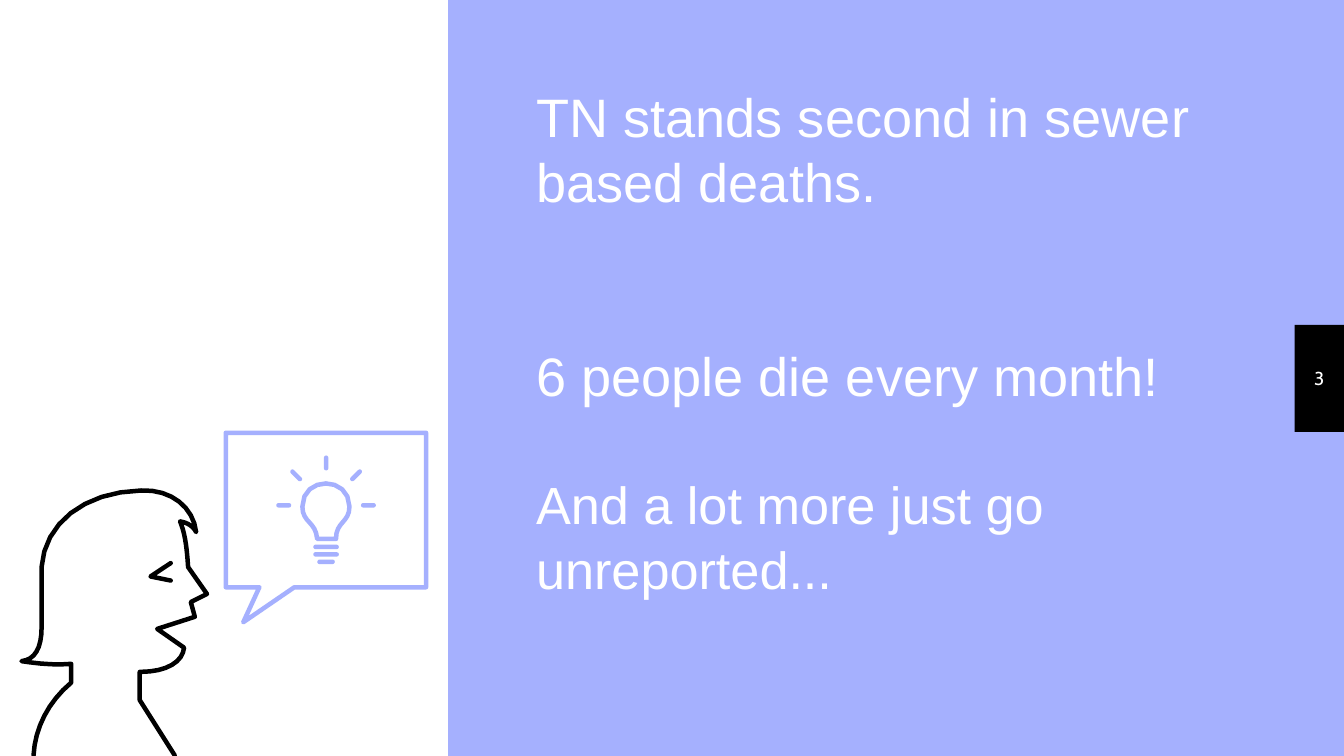
from dataclasses import dataclass
from math import cos, radians, sin

from lxml.etree import SubElement
from pptx import Presentation
from pptx.dml.color import RGBColor
from pptx.enum.shapes import MSO_SHAPE as Shape
from pptx.enum.text import MSO_ANCHOR as Anchor, MSO_AUTO_SIZE as AutoSize, PP_ALIGN as Align
from pptx.oxml.ns import qn
from pptx.shapes.base import BaseShape
from pptx.slide import Slide
from pptx.util import Pt

LAVENDER = RGBColor(0xA5, 0xB0, 0xFE)
WHITE = RGBColor(0xFF, 0xFF, 0xFF)
BLACK = RGBColor(0x00, 0x00, 0x00)

UNIT = 0.72  # points per drawing-grid step
FINE = 100  # freeform steps per point
CURVE_STEPS = 8
STROKE = 2.4  # points


@dataclass
class Statement:
    text: str
    top: float
    size: float


@dataclass
class Outline:
    """Corners (x, y) and Bezier curves (x1, y1, x2, y2, x, y) in grid steps."""
    segments: list[tuple[float, ...]]
    color: RGBColor
    closed: bool = False


STATEMENTS = [
    Statement("TN stands second in sewer based deaths.", 51.1, 29),
    Statement("6 people die every month!", 154.8, 29),
    Statement("And a lot more just go unreported...", 257.8, 28),
]

EYE = Outline([(127, 419), (112, 429), (127, 432)], BLACK)
HEAD = Outline([
    # Neck, mouth and nose
    (130, 562), (104, 521), (104, 500), (125, 500, 136, 492, 137, 482),
    (117, 468), (145, 459), (142, 448), (154, 442), (140, 422),
    # Fringe and hair
    (139, 405, 137, 395, 134, 388), (140, 389, 144, 392, 146, 396),
    (144, 378, 128, 364, 105, 365), (62, 366, 33, 390, 31, 422),
    # Nape and back
    (31, 467), (31, 482, 26, 491, 16, 492), (29, 494, 42, 495, 53, 494),
    (53, 508), (36, 522, 26, 542, 25, 562),
], BLACK)
SPEECH_BUBBLE = Outline([
    (168, 322), (317, 322), (317, 437), (219, 437), (181, 463), (193, 437), (168, 437),
], LAVENDER, closed=True)
BULB = Outline([
    (236, 401), (235, 388, 225, 389, 225, 377), (225, 354, 260, 354, 260, 377),
    (260, 389, 250, 388, 250, 401),
], LAVENDER, closed=True)

# Bulb details, in points
BULB_X, BULB_Y = 174.7, 270.7
RAY_RADIUS, RAY_LENGTH = 22.7, 8
BASE_TOP, BASE_STEP = 293, 4
BASE_LENGTHS = (13.7, 13.7, 9.4)


def add_block(slide: Slide, left: float, top: float, width: float, height: float,
              color: RGBColor, kind: Shape = Shape.RECTANGLE) -> BaseShape:
    shape = slide.shapes.add_shape(kind, Pt(left), Pt(top), Pt(width), Pt(height))
    shape.shadow.inherit = False
    shape.fill.solid()
    shape.fill.fore_color.rgb = color
    shape.line.fill.background()
    return shape


def add_bar(slide: Slide, x: float, y: float, length: float, angle: float = 0) -> None:
    """Add a round-ended bar around its centre."""
    shape = add_block(slide, x - length / 2, y - STROKE / 2, length, STROKE,
                      LAVENDER, Shape.ROUNDED_RECTANGLE)
    shape.adjustments[0] = 0.5
    shape.rotation = angle


def flatten(segments: list[tuple[float, ...]]) -> list[tuple[float, float]]:
    """Turn corners and curves into points on the fine freeform grid."""
    points = [segments[0]]
    for segment in segments[1:]:
        if len(segment) == 2:
            points.append(segment)
            continue
        start, first, second, end = points[-1], segment[:2], segment[2:4], segment[4:]
        for step in range(1, CURVE_STEPS + 1):
            t = step / CURVE_STEPS
            u = 1 - t
            points.append(tuple(
                u**3 * a + 3 * u * u * t * b + 3 * u * t * t * c + t**3 * d
                for a, b, c, d in zip(start, first, second, end)))
    return [(x * UNIT * FINE, y * UNIT * FINE) for x, y in points]


def add_outline(slide: Slide, outline: Outline) -> None:
    points = flatten(outline.segments)
    builder = slide.shapes.build_freeform(*points[0], scale=Pt(1) / FINE)
    builder.add_line_segments(points[1:], close=outline.closed)
    shape = builder.convert_to_shape()
    shape.shadow.inherit = False
    shape.fill.background()
    shape.line.color.rgb = outline.color
    shape.line.width = Pt(STROKE)
    # Round ends and corners
    line = shape.line._get_or_add_ln()
    line.set("cap", "rnd")
    SubElement(line, qn("a:round"))


def set_text(shape: BaseShape, text: str, font: str, size: float,
             align: Align, anchor: Anchor) -> None:
    frame = shape.text_frame
    frame.word_wrap = True
    frame.auto_size = AutoSize.NONE
    frame.vertical_anchor = anchor
    frame.margin_left = frame.margin_right = Pt(7.2)
    frame.margin_top = frame.margin_bottom = Pt(7.2)
    paragraph = frame.paragraphs[0]
    paragraph.text = text
    paragraph.alignment = align
    paragraph.font.name = font
    paragraph.font.size = Pt(size)
    paragraph.font.color.rgb = WHITE


def add_statement(statement: Statement, shape: BaseShape) -> None:
    shape.left, shape.top = Pt(280.1), Pt(statement.top)
    shape.width, shape.height = Pt(385.9), Pt(70.6)
    set_text(shape, statement.text, "Arial", statement.size, Align.LEFT, Anchor.BOTTOM)
    shape.text_frame.paragraphs[0].line_spacing = Pt(34.8)


def main() -> None:
    presentation = Presentation()
    presentation.slide_width, presentation.slide_height = Pt(720), Pt(405)
    slide = presentation.slides.add_slide(presentation.slide_layouts[5])
    slide.background.fill.solid()
    slide.background.fill.fore_color.rgb = LAVENDER

    # Side panel and page-number tab
    add_block(slide, 0, 0, 240, 405, WHITE)
    tab = add_block(slide, 693.5, 174, 26.5, 57.4, BLACK)
    set_text(tab, "3", "Cabin", 10, Align.CENTER, Anchor.MIDDLE)

    # Statements: the first is the title
    for index, statement in enumerate(STATEMENTS):
        box = slide.shapes.add_textbox(0, 0, 0, 0) if index else slide.shapes.title
        add_statement(statement, box)

    # Speaker with an idea
    for outline in (EYE, HEAD, SPEECH_BUBBLE, BULB):
        add_outline(slide, outline)

    # Screw base and rays of the bulb
    for row, length in enumerate(BASE_LENGTHS):
        add_bar(slide, BULB_X, BASE_TOP + row * BASE_STEP, length)
    for angle in range(180, 361, 45):
        add_bar(slide, BULB_X + RAY_RADIUS * cos(radians(angle)),
                BULB_Y + RAY_RADIUS * sin(radians(angle)), RAY_LENGTH, angle)

    presentation.save("out.pptx")


if __name__ == "__main__":
    main()
